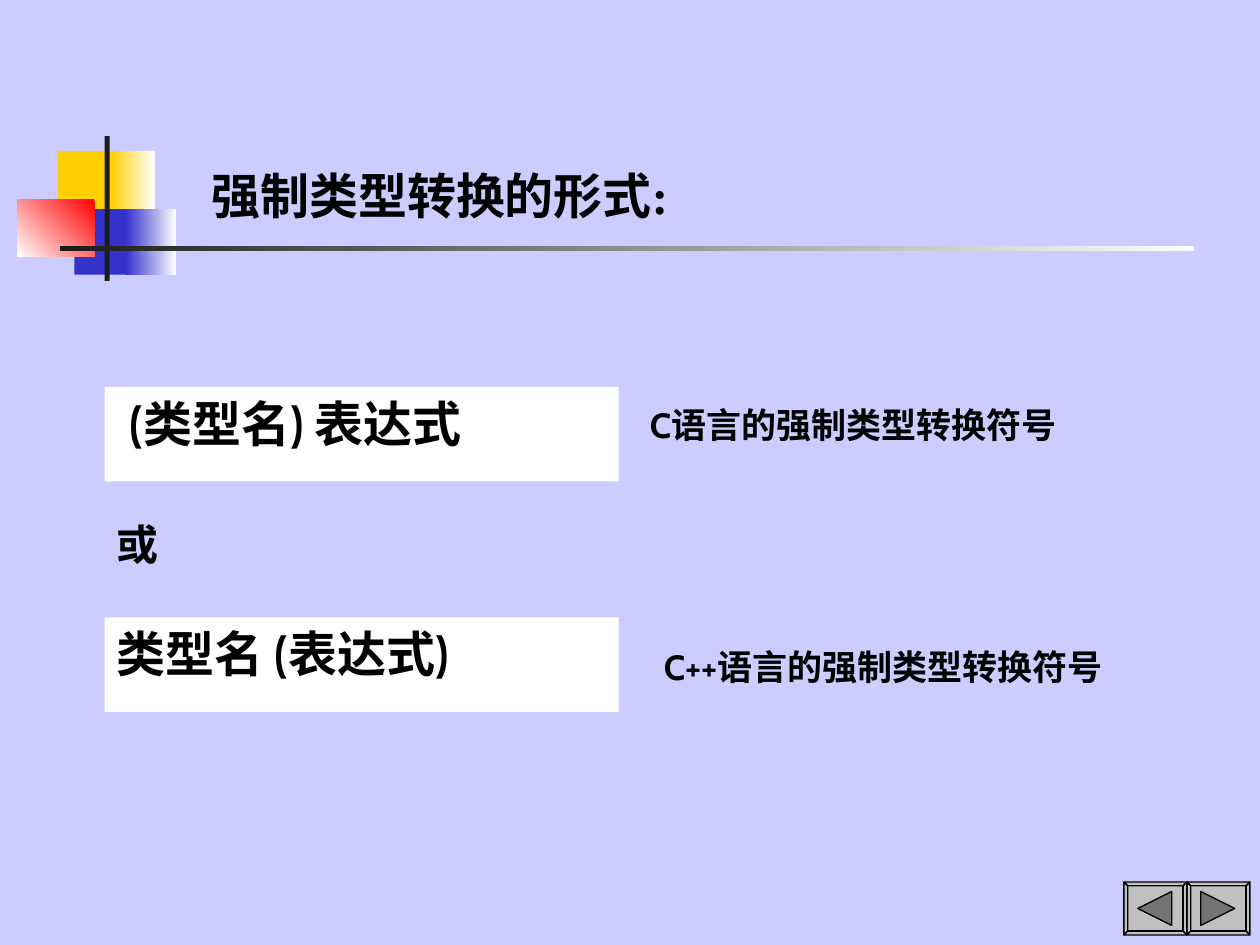
from dataclasses import dataclass

from pptx import Presentation
from pptx.dml.color import RGBColor
from pptx.enum.lang import MSO_LANGUAGE_ID
from pptx.enum.shapes import MSO_SHAPE
from pptx.enum.text import MSO_ANCHOR, PP_ALIGN
from pptx.util import Inches, Pt

RECTANGLE = MSO_SHAPE.RECTANGLE
TOP, BOTTOM = MSO_ANCHOR.TOP, MSO_ANCHOR.BOTTOM
LEFT, JUSTIFY = PP_ALIGN.LEFT, PP_ALIGN.JUSTIFY
CHINESE = MSO_LANGUAGE_ID.SIMPLIFIED_CHINESE

TIMES, CABIN, NOTO = "Times New Roman", "Cabin", "Noto Sans CJK SC"
COLOURS = {
    "background": "CCCCFF",
    "yellow": "FFCF01",
    "blue": "3333CC",
    "red": "FF0000",
    "white": "FFFFFF",
    "charcoal": "1C1C1C",
    "black": "000000",
    "button": "C0C0C0",
    "arrow": "737373",
}
Point = tuple[float, float]


@dataclass
class Block:
    """A rectangle; with a second colour it fades along angle (counterclockwise)."""
    area: tuple[float, float, float, float]
    colour: str
    fade_to: str = ""
    angle: float = 180


@dataclass
class Label:
    area: tuple[float, float, float, float]
    size: float
    spans: list[tuple[str, str]]
    anchor: MSO_ANCHOR = TOP
    align: PP_ALIGN = LEFT
    fill: str = ""
    inset: float = 0.1
    wrap: bool = True


BLOCKS = [
    Block((0.46, 1.2, 0.48, 0.52), "yellow"),
    Block((0.88, 1.2, 0.35, 0.52), "white", "yellow"),
    Block((0.59, 1.66, 0.46, 0.52), "blue"),
    Block((1, 1.66, 0.4, 0.52), "white", "blue"),
    Block((0.14, 1.58, 0.61, 0.46), "red", "white", 225),
    Block((0.83, 1.08, 0.04, 1.15), "charcoal"),
    Block((0.48, 1.95, 9, 0.04), "white", "charcoal"),
]
LABELS = [
    Label((1.58, 1.25, 5.16, 0.58), 28, [("强制类型转换的形式:", TIMES)], anchor=BOTTOM),
    Label((0.83, 3.07, 4.08, 0.75), 28,
          [("(", CABIN), ("类型名", TIMES), (") ", CABIN), ("表达式", TIMES)],
          align=JUSTIFY, fill="white", inset=0.2),
    Label((0.83, 4.9, 4.08, 0.75), 28,
          [("类型名 ", TIMES), ("(", CABIN), ("表达式", TIMES), (")", CABIN)],
          align=JUSTIFY, fill="white"),
    Label((0.83, 4.07, 0.58, 0.5), 24, [("或", CABIN)]),
    Label((5.17, 5.07, 3.92, 0.44), 20, [("C++", CABIN), ("语言的强制类型转换符号", NOTO)]),
    Label((5.06, 3.15, 3.51, 0.44), 20, [("C", CABIN), ("语言的强制类型转换符号", NOTO)],
          wrap=False),
]
BUTTON_TOP, BUTTON_WIDTH, BUTTON_HEIGHT, BEVEL = 7, 0.5, 0.42, 0.03
ARROW_WIDTH, ARROW_HEIGHT, ARROW_MARGIN = 0.27, 0.27, 0.11


def rgb(name: str) -> RGBColor:
    return RGBColor.from_string(COLOURS[name])


def paint(fill, colour: str) -> None:
    fill.solid()
    fill.fore_color.rgb = rgb(colour)


def draw_block(page, block: Block) -> None:
    shape = page.shapes.add_shape(RECTANGLE, *map(Inches, block.area))
    shape.shadow.inherit = False
    shape.line.fill.background()
    if not block.fade_to:
        paint(shape.fill, block.colour)
        return
    shape.fill.gradient()
    shape.fill.gradient_angle = block.angle
    for stop, colour in zip(shape.fill.gradient_stops, (block.colour, block.fade_to)):
        stop.color.rgb = rgb(colour)


def draw_label(page, label: Label) -> None:
    box = page.shapes.add_textbox(*map(Inches, label.area))
    if label.fill:
        paint(box.fill, label.fill)
    frame_format = {
        "word_wrap": label.wrap,
        "vertical_anchor": label.anchor,
        "margin_left": Inches(label.inset),
    }
    for name, value in frame_format.items():
        setattr(box.text_frame, name, value)
    para = box.text_frame.paragraphs[0]
    para.alignment = label.align
    for text, typeface in label.spans:
        span = para.add_run()
        span.text = text
        span.font.color.rgb = rgb("black")
        span_format = {"name": typeface, "size": Pt(label.size), "bold": True,
                       "language_id": CHINESE}
        for name, value in span_format.items():
            setattr(span.font, name, value)


def draw_outlines(page, outlines: list[list[Point]], colour: str) -> None:
    """One freeform made of several closed outlines, given in inches."""
    builder = page.shapes.build_freeform(*map(Inches, outlines[0][0]))
    for outline in outlines:
        start, *others = [(Inches(x), Inches(y)) for x, y in outline]
        if outline is not outlines[0]:
            builder.move_to(*start)
        builder.add_line_segments(others, close=True)
    shape = builder.convert_to_shape()
    shape.shadow.inherit = False
    paint(shape.fill, colour)
    shape.line.color.rgb = rgb("black")
    shape.line.width = Pt(0.75)


def corners(left: float, inset: float) -> list[Point]:
    """Corners of a button, clockwise from top left, moved in by inset."""
    right, bottom = left + BUTTON_WIDTH - inset, BUTTON_TOP + BUTTON_HEIGHT - inset
    left, top = left + inset, BUTTON_TOP + inset
    return [(left, top), (right, top), (right, bottom), (left, bottom)]


def draw_button(page, left: float, points_right: bool) -> None:
    outer, inner = corners(left, 0), corners(left, BEVEL)
    sides = [[outer[i - 1], outer[i], inner[i], inner[i - 1]] for i in range(4)]
    draw_outlines(page, [inner, *sides], "button")
    base, tip = left + ARROW_MARGIN, left + ARROW_MARGIN + ARROW_WIDTH
    if not points_right:
        base, tip = tip, base
    middle = BUTTON_TOP + BUTTON_HEIGHT / 2
    half = ARROW_HEIGHT / 2
    draw_outlines(page, [[(base, middle - half), (tip, middle), (base, middle + half)]],
                  "arrow")


def main() -> None:
    deck = Presentation()
    deck.slide_width, deck.slide_height = Inches(10), Inches(7.5)
    page = deck.slides.add_slide(deck.slide_layouts[6])
    paint(page.background.fill, "background")
    for block in BLOCKS:
        draw_block(page, block)
    for label in LABELS:
        draw_label(page, label)
    draw_button(page, 9.42, points_right=True)
    draw_button(page, 8.92, points_right=False)
    deck.save("out.pptx")


if __name__ == "__main__":
    main()
